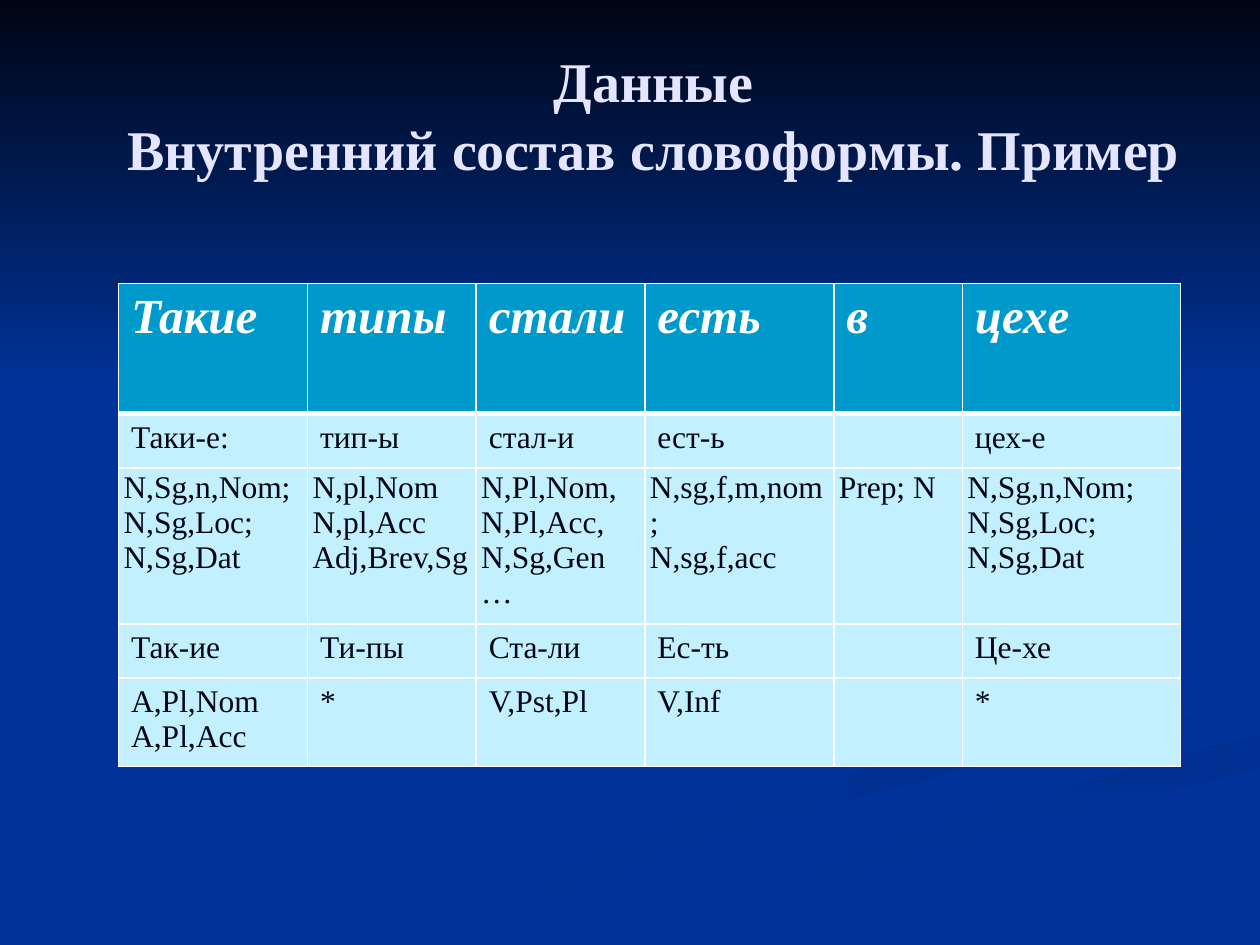
from dataclasses import dataclass

from lxml import etree
from pptx import Presentation
from pptx.dml.color import RGBColor
from pptx.enum.shapes import MSO_SHAPE
from pptx.enum.text import MSO_ANCHOR, PP_ALIGN
from pptx.oxml.ns import qn
from pptx.util import Cm, Pt

RECT = MSO_SHAPE.RECTANGLE
CENTER, LEFT = PP_ALIGN.CENTER, PP_ALIGN.LEFT
MIDDLE = MSO_ANCHOR.MIDDLE


@dataclass(frozen=True)
class Theme:
    font: str = "Times New Roman"
    back: str = "003399"
    ribbon: str = "003091"
    dark: str = "000514"
    title: str = "E5E5FF"
    white: str = "FFFFFF"
    head: str = "0099CC"
    body: str = "C2F0FF"
    title_size: int = 32
    head_size: int = 28
    body_size: int = 18


T = Theme()


def write(tf, text, size, color, bold=False, italic=False, align=LEFT):
    """One paragraph per line; a vertical tab is a line break."""
    for i, line in enumerate(text.split("\n")):
        p = tf.paragraphs[0] if i == 0 else tf.add_paragraph()
        p.text = line
        p.alignment = align
        for r in p.runs:
            r.font.name, r.font.size = T.font, Pt(size)
            r.font.bold, r.font.italic = bold, italic
            r.font.color.rgb = RGBColor.from_string(color)


def paint(sp, start, end, angle):
    """Gradient whose angle runs clockwise."""
    sp.shadow.inherit = False
    sp.line.fill.background()
    sp.fill.gradient()
    sp.fill.gradient_angle = -angle % 360
    for stop, color in zip(sp.fill.gradient_stops, (start, end)):
        stop.color.rgb = RGBColor.from_string(color)


prs = Presentation()
prs.slide_width, prs.slide_height = Cm(25.4), Cm(19.05)
s = prs.slides.add_slide(prs.slide_layouts[6])
s.background.fill.solid()
s.background.fill.fore_color.rgb = RGBColor.from_string(T.back)

# Background ribbons: start colour, end colour, angle, outline in cm
RIBBONS = [
    (T.back, T.ribbon, 0, [
        (14.6, 11.7), (15.6, 12.7), (19.8, 14), (19.5, 15), (13.7, 16.5),
        (7.6, 19), (9.2, 19), (14.3, 16.9), (19.8, 15.4), (20.3, 14.7)]),
    (T.back, T.ribbon, 45, [
        (18.4, 11.8), (20.7, 13.5), (23.3, 14.8), (22.7, 15.4), (24, 14.5)]),
    (T.ribbon, T.back, 90, [
        (12.8, 19), (14.5, 19), (18.3, 17.3), (25.4, 15.5), (25.4, 14.8),
        (19.4, 16.4), (15.2, 17.9)]),
    (T.ribbon, T.back, 45, [
        (19.8, 11.7), (21, 12.6), (20.7, 11.7), (25.4, 10.7), (25.4, 10.2)]),
    (T.ribbon, T.back, 45, [
        (19.4, 5.9), (22.6, 8.5), (14.7, 11.7), (15.8, 12.7), (15.4, 11.4),
        (21.7, 9.9), (22.7, 8.7)]),
]
for start, end, angle, points in RIBBONS:
    # Drawn in tenths of a millimetre
    outline = [(round(x * 100), round(y * 100)) for x, y in points]
    fb = s.shapes.build_freeform(*outline[0], scale=Cm(0.01))
    fb.add_line_segments(outline[1:], close=True)
    paint(fb.convert_to_shape(), start, end, angle)

# Dark band at the top
band = s.shapes.add_shape(RECT, 0, 0, prs.slide_width, Cm(7.82))
paint(band, T.dark, T.back, 90)

# Word-form table
NOUN = "N,Sg,n,Nom; N,Sg,Loc; N,Sg,Dat"
ROWS = [
    ["Такие", "типы", "стали", "есть", "в", "цехе"],
    ["Таки-е:", "тип-ы", "стал-и", "ест-ь", "", "цех-е"],
    [NOUN, "N,pl,Nom\nN,pl,Acc\nAdj,Brev,Sg",
     "N,Pl,Nom,\nN,Pl,Acc,\nN,Sg,Gen\n…", "N,sg,f,m,nom;\nN,sg,f,acc",
     "Prep; N", NOUN],
    ["Так-ие", "Ти-пы", "Ста-ли", "Ес-ть", "", "Це-хе"],
    ["A,Pl,Nom\nA,Pl,Acc", "*", "V,Pst,Pl", "V,Inf", "", "*"],
]
WIDTHS = [3.81, 3.4, 3.4, 3.81, 2.59, 4.4]
HEIGHTS = [2.62, 1.09, 3.15, 1.09, 1.78]
TIGHT_ROW = 2

table = s.shapes.add_table(len(ROWS), len(WIDTHS), Cm(2.39), Cm(5.72),
                           Cm(sum(WIDTHS)), Cm(sum(HEIGHTS))).table
for col, width in zip(table.columns, WIDTHS):
    col.width = Cm(width)
for i, (row, height) in enumerate(zip(ROWS, HEIGHTS)):
    table.rows[i].height = Cm(height)
    head = i == 0
    for j, text in enumerate(row):
        cell = table.cell(i, j)
        cell.fill.solid()
        cell.fill.fore_color.rgb = RGBColor.from_string(T.head if head else T.body)
        if i == TIGHT_ROW:
            cell.margin_left = cell.margin_right = Cm(0.1)
            cell.margin_top = cell.margin_bottom = Cm(0.05)
        write(cell.text_frame, text, T.head_size if head else T.body_size,
              T.white if head else T.dark, bold=head, italic=head)

        # Cell borders go before the fill; the header rule is thicker
        tcPr = cell._tc.get_or_add_tcPr()
        sides = ["lnL", "lnR", "lnT", "lnB"] if i != 1 else ["lnL", "lnR", "lnB"]
        for k, side in enumerate(sides):
            ln = etree.Element(qn(f"a:{side}"))
            ln.set("w", str(int(Pt(3 if head and side == "lnB" else 1))))
            fill = etree.SubElement(ln, qn("a:solidFill"))
            etree.SubElement(fill, qn("a:srgbClr")).set("val", T.white)
            tcPr.insert(k, ln)

# Title
tf = s.shapes.add_textbox(Cm(1.37), Cm(0.71), Cm(23.62), Cm(3.18)).text_frame
tf.word_wrap = True
tf.vertical_anchor = MIDDLE
write(tf, "Данные\vВнутренний состав словоформы. Пример", T.title_size, T.title,
      bold=True, align=CENTER)

prs.save("out.pptx")
